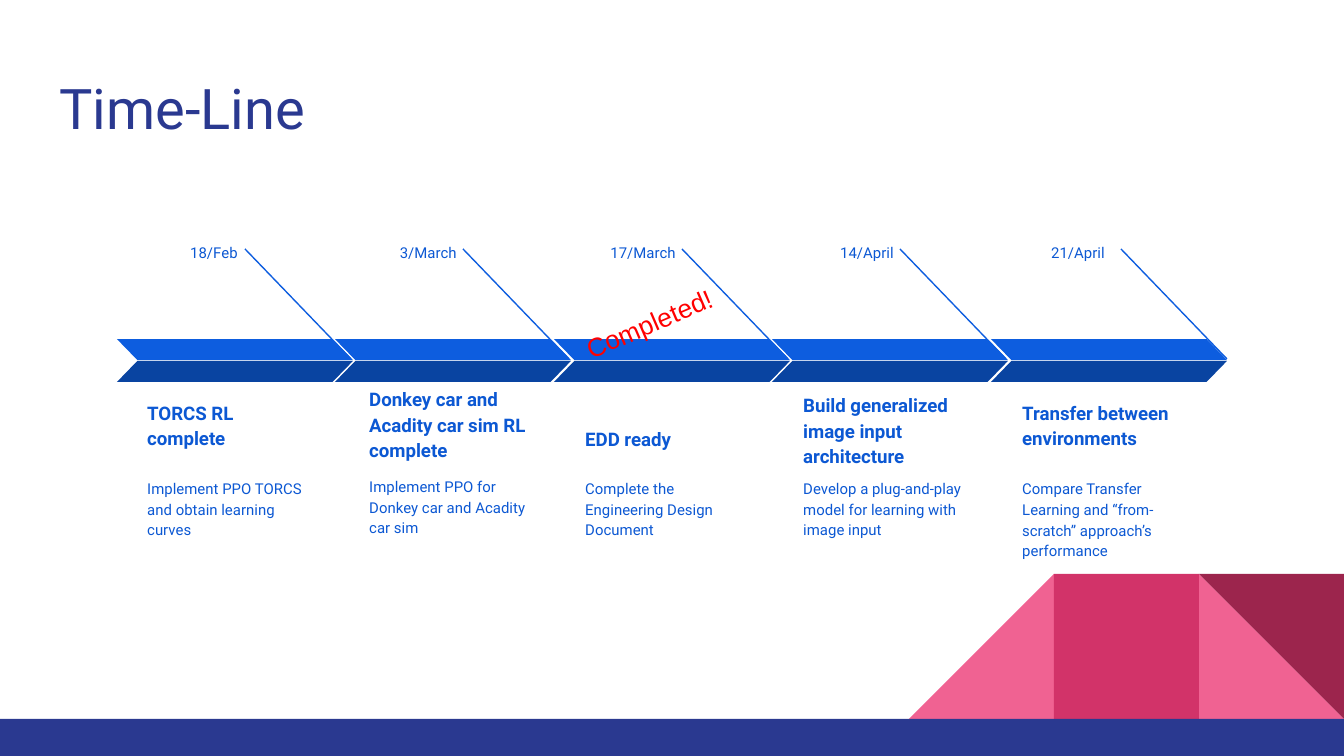
from pptx import Presentation
from pptx.dml.color import RGBColor
from pptx.enum.shapes import MSO_CONNECTOR, MSO_SHAPE
from pptx.enum.text import MSO_ANCHOR, MSO_AUTO_SIZE, PP_ALIGN
from pptx.oxml.ns import qn
from pptx.util import Pt
from lxml import etree

PX = 914400 / 134.4
RECT, TRI = MSO_SHAPE.RECTANGLE, MSO_SHAPE.RIGHT_TRIANGLE
SLANT = MSO_SHAPE.PARALLELOGRAM
STRAIGHT = MSO_CONNECTOR.STRAIGHT
TOP, MID, LOW = MSO_ANCHOR.TOP, MSO_ANCHOR.MIDDLE, MSO_ANCHOR.BOTTOM
LEFT, CENTER, RIGHT = PP_ALIGN.LEFT, PP_ALIGN.CENTER, PP_ALIGN.RIGHT

NAVY = RGBColor(0x2A, 0x39, 0x90)
PINK = RGBColor(0xF0, 0x62, 0x92)
ROSE = RGBColor(0xD2, 0x33, 0x69)
WINE = RGBColor(0x9C, 0x25, 0x4D)
BLUE = RGBColor(0x0D, 0x5D, 0xDF)
DARK = RGBColor(0x09, 0x44, 0xA1)
INK = RGBColor(0x0C, 0x58, 0xD3)
RED = RGBColor(0xFF, 0x00, 0x00)

deck = Presentation()
deck.slide_width, deck.slide_height = round(1344 * PX), round(756 * PX)
slide = deck.slides.add_slide(deck.slide_layouts[5])
shapes = slide.shapes


def add_block(kind, box, color, flip=False):
    shape = shapes.add_shape(kind, *[round(v * PX) for v in box])
    shape.shadow.inherit = False
    shape.fill.solid()
    shape.fill.fore_color.rgb = color
    shape.line.fill.background()
    if flip:
        shape._element.spPr.xfrm.set("flipH", "1")
    return shape


def add_label(box, text, size, anchor=TOP, align=LEFT, bold=False):
    label = shapes.add_textbox(*[round(v * PX) for v in box])
    frame = label.text_frame
    frame.word_wrap = True
    frame.vertical_anchor = anchor
    frame.margin_top = frame.margin_bottom = frame.margin_left
    para = frame.paragraphs[0]
    para.text = text
    para.alignment = align
    para.line_spacing = 1.15
    para.font.name = "Roboto"
    para.font.size = Pt(size)
    para.font.bold = bold
    para.font.color.rgb = INK
    return label


# Corner pattern and footer bar
add_block(TRI, (1199, 574, 145, 145), PINK)
add_block(TRI, (909, 574, 145, 145), PINK, flip=True)
add_block(RECT, (1054, 574, 145, 145), ROSE)
add_block(TRI, (1199, 574, 145, 145), WINE).rotation = 180
add_block(RECT, (0, 719, 1344, 37), NAVY)

# Title
title = shapes.title
title.left, title.top, title.width, title.height = [
    round(v * PX) for v in (46, 60, 1252, 89)]
frame = title.text_frame
frame.auto_size = MSO_AUTO_SIZE.NONE
frame.vertical_anchor = TOP
frame.margin_top = frame.margin_bottom = frame.margin_left
para = frame.paragraphs[0]
para.text = "Time-Line"
para.alignment = LEFT
para.font.name = "Roboto"
para.font.size = Pt(30)
para.font.color.rgb = NAVY

# Steps: date, its left and width, text left, heading top, heading,
# detail top, detail anchor, detail
steps = [
    ("18/Feb", 160, 91, 134, 397, "TORCS RL complete",
     464, TOP, "Implement PPO TORCS and obtain learning curves"),
    ("3/March", 379, 91, 356, 409, "Donkey car and Acadity car sim RL complete",
     462, TOP, "Implement PPO for Donkey car and Acadity car sim"),
    ("17/March", 583, 106, 572, 397, "EDD ready",
     464, TOP, "Complete the Engineering Design Document"),
    ("14/April", 801, 106, 790, 415, "Build generalized image input architecture",
     464, TOP, "Develop a plug-and-play model for learning with image input"),
    ("21/April", 1012, 106, 1009, 397, "Transfer between environments",
     464, MID, "Compare Transfer Learning and “from-scratch” approach’s performance"),
]
for i, (date, day, wide, left, high, head, low, anchor, note) in enumerate(steps):
    start = 117 + i * 437 // 2
    tip = 1121 if i == 4 else start + 128

    # Pointer from the date to the arrow
    line = shapes.add_connector(STRAIGHT, *[
        round(v * PX) for v in (tip, 249, tip + 106, 359)])
    line.line.color.rgb = BLUE
    line.line.width = Pt(0.75)
    etree.SubElement(line._element.spPr, qn("a:effectLst"))

    # Upper and lower half of the arrow
    for y, color, flip in ((339, BLUE, True), (361, DARK, False)):
        half = add_block(SLANT, (start, y, 236, 21), color, flip)
        half.adjustments[0] = 0.97

    add_label((left, high, 195, 66), head, 10, LOW, bold=True)
    add_label((left, low, 195, 109), note, 8, anchor)
    add_label((day, 231, wide, 35), date, 8, align=RIGHT)

# Stamp across the third step
stamp = add_label((191, 289, 964, 179), "Completed!", 14, align=CENTER)
stamp.rotation = 336.6
para = stamp.text_frame.paragraphs[0]
para.line_spacing = 1.0
para.font.name = "Arial"
para.font.color.rgb = RED

deck.save("out.pptx")
